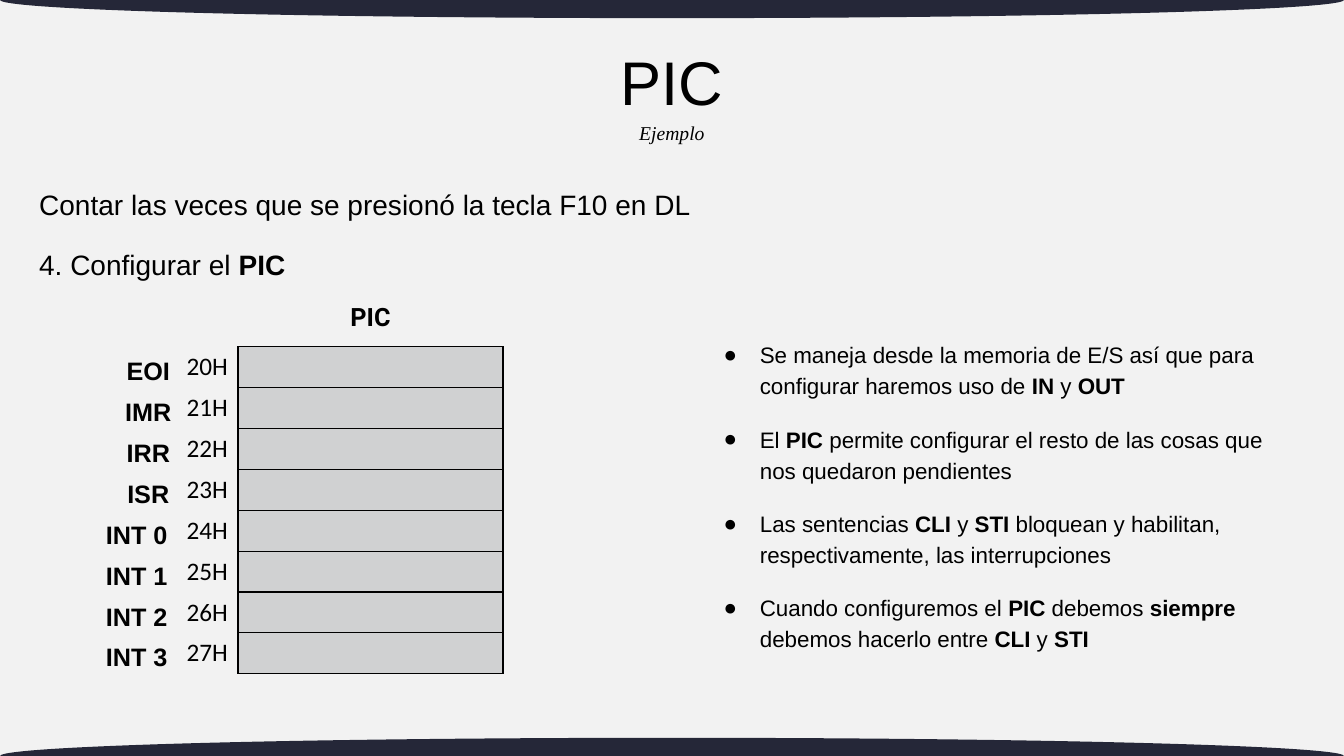
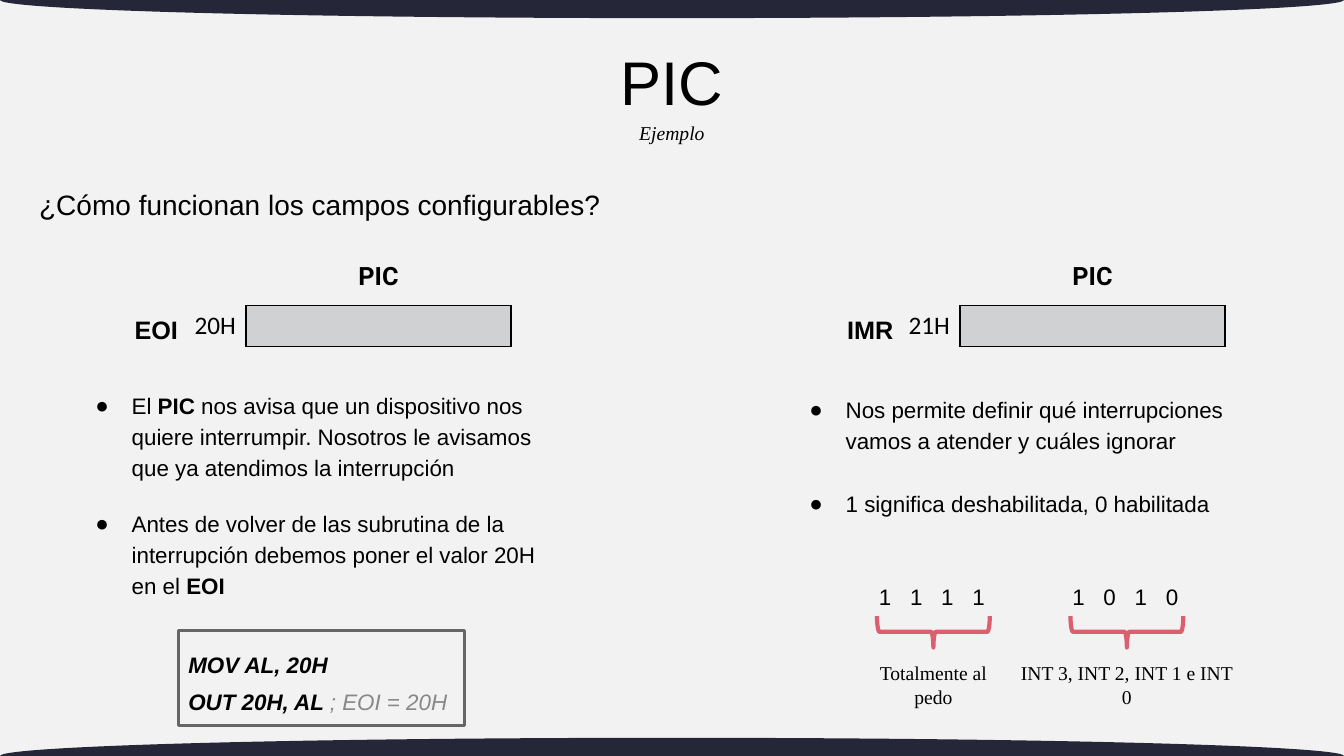
import dataclasses

import lxml.etree
import pptx
import pptx.dml.color
import pptx.enum.shapes
import pptx.enum.text
import pptx.oxml.ns
import pptx.util

Pt = pptx.util.Pt
qn = pptx.oxml.ns.qn
Align = pptx.enum.text.PP_ALIGN
Anchor = pptx.enum.text.MSO_ANCHOR
Shape = pptx.enum.shapes.MSO_SHAPE
PLAIN_TABLE = "{2D5ABB26-0587-4C30-8999-92F81FD0307C}"


@dataclasses.dataclass(frozen=True)
class TextStyle:
    font: dict
    paragraph: dict = dataclasses.field(default_factory=dict)
    anchor: object = Anchor.TOP
    color: str = "000000"
    strong_color: str = "000000"
    inset: float = 3.6


class Theme:
    # Colours
    ink = "000000"
    background = "F2F2F2"
    band = "252738"
    register = "D0D1D2"
    brace = "DC5F6F"
    frame = "666666"

    # Text styles
    title = TextStyle(dict(name="Arial", size=Pt(44)),
                      dict(alignment=Align.CENTER, line_spacing=0.9), Anchor.MIDDLE)
    subtitle = TextStyle(dict(name="Times New Roman", size=Pt(14), italic=True),
                         dict(alignment=Align.CENTER))
    heading = TextStyle(dict(name="Arial", size=Pt(20)),
                        dict(line_spacing=1.15), Anchor.MIDDLE)
    body = TextStyle(dict(name="Arial", size=Pt(16)),
                     dict(line_spacing=1.15), Anchor.MIDDLE)
    chip = TextStyle(dict(name="Roboto", size=Pt(18)), dict(alignment=Align.CENTER))
    field = TextStyle(dict(name="Arial", size=Pt(18)),
                      dict(alignment=Align.CENTER, line_spacing=1.15), Anchor.MIDDLE)
    address = TextStyle(dict(name="Calibri", size=Pt(18)), dict(alignment=Align.RIGHT))
    note = TextStyle(dict(name="Times New Roman", size=Pt(14)),
                     dict(alignment=Align.CENTER), inset=7.2)
    code = TextStyle(dict(name="Arial", size=Pt(16), italic=True),
                     dict(alignment=Align.LEFT, line_spacing=1.38),
                     Anchor.MIDDLE, color="888888")


def rgb(value):
    return pptx.dml.color.RGBColor.from_string(value)


def add_xml(parent, tag, **attributes):
    return lxml.etree.SubElement(parent, qn(tag), attributes)


class Deck:
    width, height = 960, 540
    band_height = 26
    row_height = 29.2
    address_width, register_width = 81.4, 189.4

    def __init__(self, theme):
        self.theme = theme
        self.presentation = pptx.Presentation()
        self.presentation.slide_width = Pt(self.width)
        self.presentation.slide_height = Pt(self.height)
        fill = self.presentation.slide_master.background.fill
        fill.solid()
        fill.fore_color.rgb = rgb(theme.background)
        self.slide = None

    def add_bands(self):
        """Draw the top and bottom bands and hand them to the master."""
        master_tree = self.presentation.slide_master.shapes.element
        for edge in (0, self.height):
            band = self.shape(Shape.OVAL, 0, edge - self.band_height / 2,
                              self.width, self.band_height, fill=self.theme.band)
            master_tree.insert(2, band.element)

    def new_slide(self, title, subtitle):
        first = self.slide is None
        layout = self.presentation.slide_layouts[5]
        self.slide = self.presentation.slides.add_slide(layout)
        if first:
            self.add_bands()
        heading = self.slide.shapes.title
        place = dict(left=335.5, top=27.4, width=289, height=67.7)
        for name, value in place.items():
            setattr(heading, name, Pt(value))
        self.fill_frame(heading.text_frame, [title], self.theme.title)
        self.text(subtitle, 316.5, 82.8, 327, 24.5, self.theme.subtitle)

    def fill_frame(self, frame, lines, style):
        """Fill a text frame; parts between ** are bold."""
        settings = dict(word_wrap=True, vertical_anchor=style.anchor,
                        auto_size=pptx.enum.text.MSO_AUTO_SIZE.NONE,
                        margin_left=Pt(7.2), margin_right=Pt(7.2),
                        margin_top=Pt(style.inset), margin_bottom=Pt(style.inset))
        for name, value in settings.items():
            setattr(frame, name, value)
        for index, line in enumerate(lines):
            paragraph = frame.add_paragraph() if index else frame.paragraphs[0]
            self.fill_line(paragraph, line, style)

    def fill_line(self, paragraph, line, style):
        for name, value in style.paragraph.items():
            setattr(paragraph, name, value)
        for index, part in enumerate(line.split("**")):
            if not part:
                continue
            strong = index % 2 == 1
            run = paragraph.add_run()
            run.text = part
            for name, value in dict(style.font, bold=strong).items():
                setattr(run.font, name, value)
            run.font.color.rgb = rgb(style.strong_color if strong else style.color)

    def text(self, line, left, top, width, height, style):
        box = self.slide.shapes.add_textbox(Pt(left), Pt(top), Pt(width), Pt(height))
        self.fill_frame(box.text_frame, [line], style)
        return box.text_frame.paragraphs[0]

    def heading(self, line, top):
        self.text(line, 20.9, top, 919.5, 41, self.theme.heading)

    def bullet(self, line, left, top, width, height):
        paragraph = self.text(line, left, top, width, height, self.theme.body)
        properties = paragraph._p.get_or_add_pPr()
        properties.set("marL", str(Pt(36)))
        properties.set("indent", str(Pt(-25.9)))
        add_xml(add_xml(properties, "a:buClr"), "a:srgbClr", val=self.theme.ink)
        add_xml(properties, "a:buFont", typeface="Arial")
        add_xml(properties, "a:buChar", char="●")

    def shape(self, kind, left, top, width, height, fill=None, line=None, weight=0):
        shape = self.slide.shapes.add_shape(kind, Pt(left), Pt(top), Pt(width), Pt(height))
        shape.shadow.inherit = False
        if fill:
            shape.fill.solid()
            shape.fill.fore_color.rgb = rgb(fill)
        else:
            shape.fill.background()
        if line:
            shape.line.color.rgb = rgb(line)
            shape.line.width = Pt(weight)
        else:
            shape.line.fill.background()
        return shape

    def code(self, lines, left, top, width, height):
        box = self.shape(Shape.RECTANGLE, left, top, width, height,
                         line=self.theme.frame, weight=2.25)
        self.fill_frame(box.text_frame, lines, self.theme.code)

    def border(self, cell, **weights):
        properties = cell._tc.get_or_add_tcPr()
        for side, weight in weights.items():
            edge = add_xml(properties, f"a:ln{side}", w=str(Pt(weight)))
            add_xml(add_xml(edge, "a:solidFill"), "a:srgbClr", val=self.theme.ink)

    def registers(self, left, top, fields):
        """Draw the PIC memory map: field names, addresses and registers."""
        theme = self.theme
        frame = self.slide.shapes.add_table(
            len(fields), 2, Pt(left), Pt(top),
            Pt(self.address_width + self.register_width), Pt(self.row_height * len(fields)))
        table = frame.table
        table.first_row = table.horz_banding = False
        table._tbl.tblPr.find(qn("a:tableStyleId")).text = PLAIN_TABLE
        table.columns[0].width = Pt(self.address_width)
        table.columns[1].width = Pt(self.register_width)
        self.text("**PIC**", left + self.address_width, top - 36,
                  self.register_width, 36, theme.chip)
        for row, (name, address) in enumerate(fields):
            table.rows[row].height = Pt(self.row_height)
            address_cell, register_cell = table.cell(row, 0), table.cell(row, 1)
            self.fill_line(address_cell.text_frame.paragraphs[0], address, theme.address)
            self.border(address_cell, R=1)
            address_cell.fill.background()
            self.border(register_cell, L=1, R=2.25, T=1, B=1)
            register_cell.fill.solid()
            register_cell.fill.fore_color.rgb = rgb(theme.register)
            name_width = 49 if len(name) == 3 else 65.5
            self.text(f"**{name}**", left + 41.8 - name_width, top + row * self.row_height,
                      name_width, 31, theme.field)

    def nibble(self, center, bits, meaning, meaning_width):
        """Draw four mask bits, the brace under them and what they mean."""
        paragraph = self.text("\t".join(bits), center - 46, 410.4, 92, 28.8, self.theme.body)
        stops = add_xml(paragraph._p.get_or_add_pPr(), "a:tabLst")
        for stop in range(1, len(bits)):
            add_xml(stops, "a:tab", pos=str(Pt(22.25 * stop)), algn="l")
        brace = self.shape(Shape.RIGHT_BRACE, center - 11.2, 411, 22.4, 80.6,
                           line=self.theme.brace, weight=3)
        brace.rotation = 90
        brace.adjustments[0] = 0.08
        self.text(meaning, center - meaning_width / 2, 465, meaning_width, 48, self.theme.note)


def main():
    deck = Deck(Theme)

    # Configuring the PIC
    deck.new_slide("PIC", "Ejemplo")
    deck.heading("Contar las veces que se presionó la tecla F10 en DL", 123.8)
    deck.heading("4. Configurar el **PIC**", 166.3)
    names = ["EOI", "IMR", "IRR", "ISR", "INT 0", "INT 1", "INT 2", "INT 3"]
    fields = [(name, f"{20 + index}H") for index, name in enumerate(names)]
    deck.registers(88.6, 247.7, fields)
    remarks = [
        "Se maneja desde la memoria de E/S así que para configurar haremos uso de **IN** y **OUT**",
        "El **PIC **permite configurar el resto de las cosas que nos quedaron pendientes",
        "Las sentencias **CLI **y **STI **bloquean y habilitan, respectivamente, las interrupciones",
        "Cuando configuremos el **PIC** debemos **siempre **debemos hacerlo entre **CLI** y **STI**",
    ]
    for index, remark in enumerate(remarks):
        deck.bullet(remark, 499.7, 234.5 + 60.3 * index, 429, 57)

    # Configurable fields
    deck.new_slide("PIC", "Ejemplo")
    deck.heading("¿Cómo funcionan los campos configurables?", 123.8)

    # EOI
    deck.registers(94.3, 218.2, fields[:1])
    deck.bullet("El **PIC** nos avisa que un dispositivo nos quiere interrumpir. "
                "Nosotros le avisamos que ya atendimos la interrupción", 51, 272, 348.5, 76.5)
    deck.bullet("Antes de volver de las subrutina de la interrupción debemos poner "
                "el valor 20H en el **EOI**", 51, 356.4, 348.5, 76.5)
    deck.code(["**MOV AL, 20H**", "**OUT 20H, AL **; EOI = 20H"], 127.5, 450.5, 204.5, 67.7)

    # IMR
    deck.registers(604.3, 218.2, fields[1:2])
    deck.bullet("Nos permite definir qué interrupciones vamos a atender y cuáles ignorar",
                561, 272, 348.5, 61)
    deck.bullet("1 significa deshabilitada, 0 habilitada", 561, 344.2, 348.5, 28.8)
    deck.nibble(666.7, "1111", "Totalmente al pedo", 104.4)
    deck.nibble(804.9, "1010", "INT 3, INT 2, INT 1 e INT 0", 175)

    deck.presentation.save("out.pptx")


if __name__ == "__main__":
    main()
